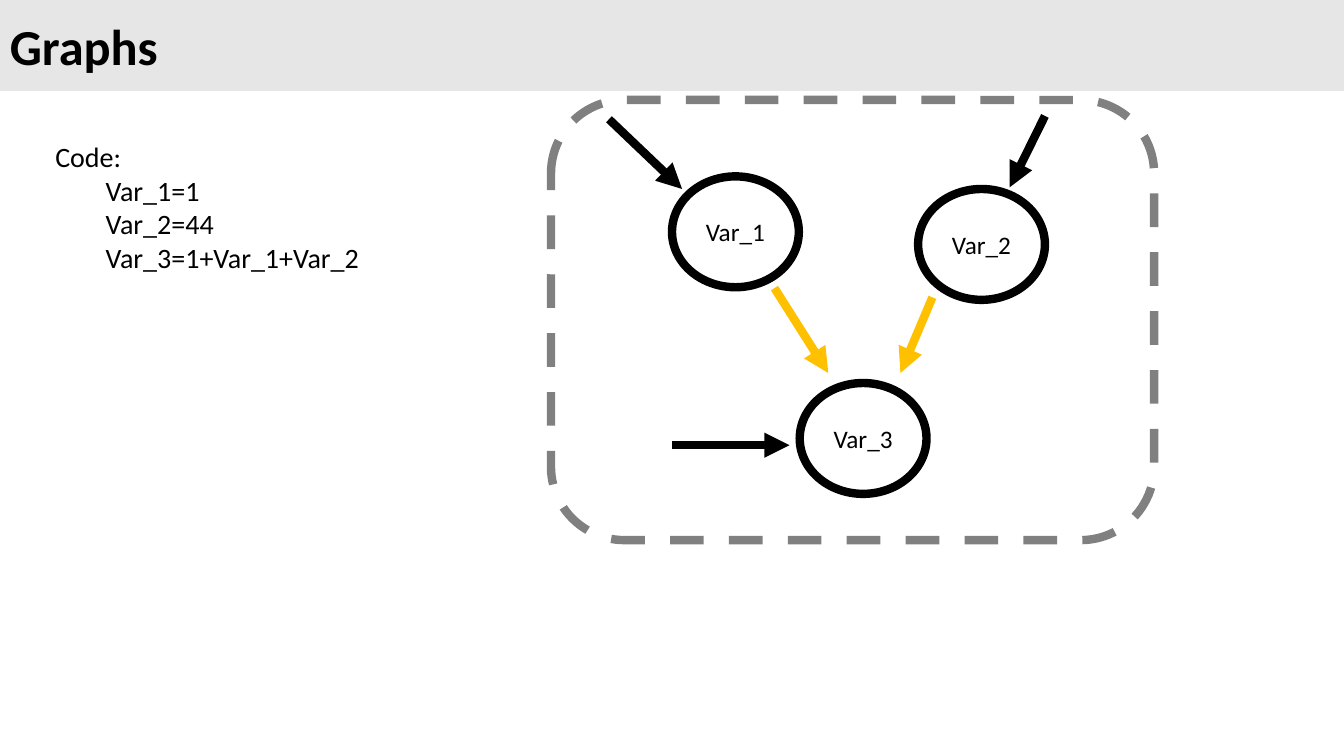
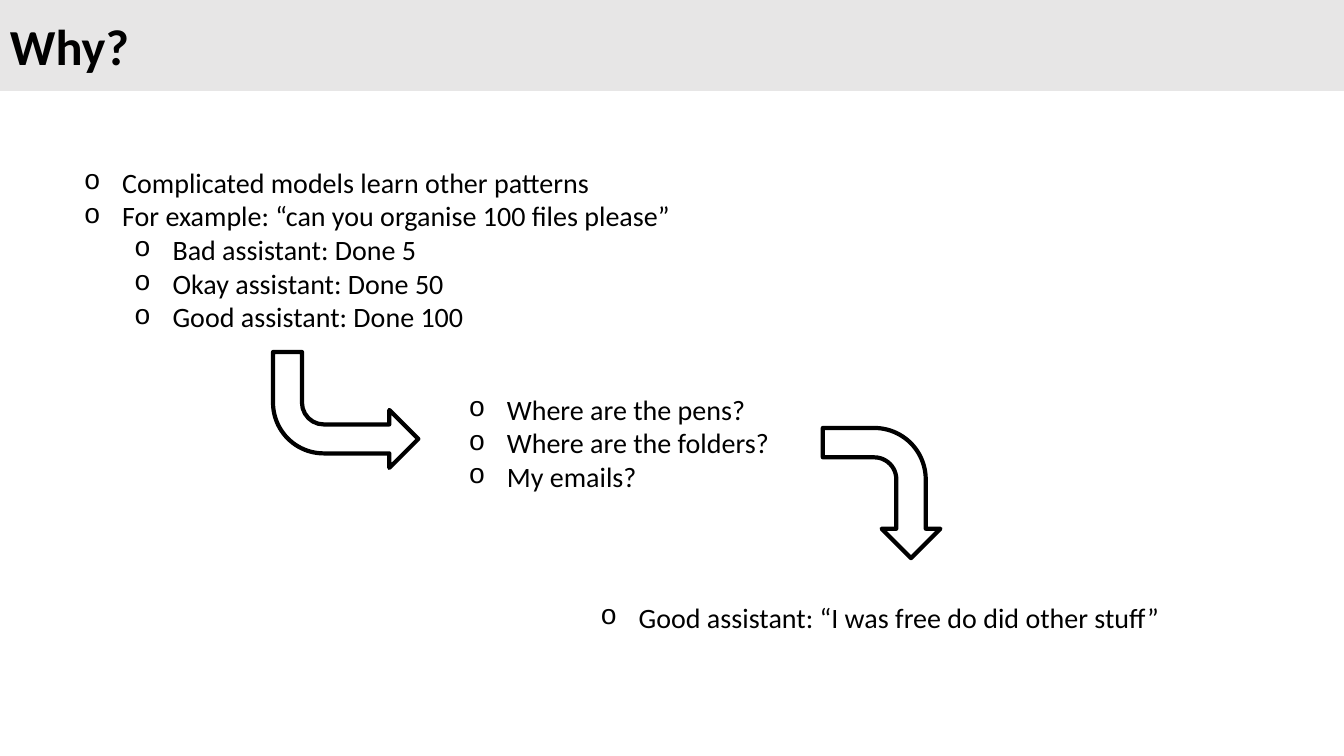
"""Builds two slides: a variable graph and a list of assistant examples."""
from lxml.etree import SubElement
from pptx import Presentation
from pptx.dml.color import RGBColor
from pptx.enum.dml import MSO_LINE
from pptx.enum.shapes import MSO_CONNECTOR, MSO_SHAPE as Preset
from pptx.enum.text import MSO_ANCHOR as Anchor, MSO_AUTO_SIZE, PP_ALIGN as Align
from pptx.oxml.ns import qn
from pptx.util import Inches, Pt

BLACK = RGBColor(0x00, 0x00, 0x00)
WHITE = RGBColor(0xFF, 0xFF, 0xFF)
BAND = RGBColor(0xE7, 0xE6, 0xE6)
GREY = RGBColor(0x80, 0x80, 0x80)
AMBER = RGBColor(0xFF, 0xC0, 0x00)


class Deck:
    FONT = "Calibri"
    BULLET_FONT = "Courier New"
    COLUMNS, ROWS = 160, 90
    BAND_ROWS = 10.7
    LEVEL_INDENT, BULLET_INDENT = Inches(0.5), Inches(0.38)
    TITLE_SIZE, BODY_SIZE, NODE_SIZE = 36, 20, 18
    HEAVY, MEDIUM, THIN = 6, 3, 1
    NODE_COLUMNS, NODE_ROWS = 15.1, 13.2

    def __init__(self):
        self.presentation = Presentation()
        self.presentation.slide_width = Inches(13.33)
        self.presentation.slide_height = Inches(7.5)
        self.slide = None

    def place(self, column, row):
        return (round(self.presentation.slide_width * column / self.COLUMNS),
                round(self.presentation.slide_height * row / self.ROWS))

    def add_slide(self, title):
        self.slide = self.presentation.slides.add_slide(self.presentation.slide_layouts[6])
        band = self.add_shape(Preset.RECTANGLE, (0, 0, self.COLUMNS, self.BAND_ROWS),
                              BAND, BAND, self.THIN)
        self.add_run(band.text_frame.paragraphs[0], title, self.TITLE_SIZE, bold=True)

    def add_run(self, paragraph, text, size, bold=False, align=Align.LEFT):
        paragraph.alignment = align
        run = paragraph.add_run()
        run.text = text
        run.font.name = self.FONT
        run.font.size = Pt(size)
        run.font.bold = bold
        run.font.color.rgb = BLACK

    def add_shape(self, preset, box, fill, line, weight):
        shape = self.slide.shapes.add_shape(preset, *self.place(*box[:2]), *self.place(*box[2:]))
        shape.shadow.inherit = False
        if fill is None:
            shape.fill.background()
        else:
            shape.fill.solid()
            shape.fill.fore_color.rgb = fill
        shape.line.color.rgb = line
        shape.line.width = Pt(weight)
        shape.text_frame.vertical_anchor = Anchor.MIDDLE
        return shape

    def add_frame(self, box):
        frame = self.add_shape(Preset.ROUNDED_RECTANGLE, box, None, GREY, self.HEAVY)
        frame.line.dash_style = MSO_LINE.DASH

    def add_node(self, name, column, row):
        node = self.add_shape(Preset.OVAL, (column, row, self.NODE_COLUMNS, self.NODE_ROWS),
                              WHITE, BLACK, self.HEAVY)
        self.add_run(node.text_frame.paragraphs[0], name, self.NODE_SIZE, align=Align.CENTER)

    def add_arrow(self, start, end, color):
        arrow = self.slide.shapes.add_connector(
            MSO_CONNECTOR.STRAIGHT, *self.place(*start), *self.place(*end))
        arrow.line.color.rgb = color
        arrow.line.width = Pt(self.HEAVY)
        properties = arrow._element.spPr
        SubElement(properties.find(qn("a:ln")), qn("a:tailEnd"), type="triangle")
        SubElement(properties, qn("a:effectLst"))

    def add_bent_arrow(self, box, rotation, mirrored=False):
        arrow = self.add_shape(Preset.BENT_ARROW, box, WHITE, BLACK, self.MEDIUM)
        arrow.rotation = rotation
        if mirrored:
            arrow._element.spPr.find(qn("a:xfrm")).set("flipH", "1")

    def add_text(self, box, lines, bulleted=False):
        text_box = self.slide.shapes.add_textbox(*self.place(*box[:2]), *self.place(*box[2:]))
        frame = text_box.text_frame
        frame.word_wrap = not bulleted
        frame.auto_size = MSO_AUTO_SIZE.SHAPE_TO_FIT_TEXT
        for index, (level, text) in enumerate(lines):
            paragraph = frame.add_paragraph() if index else frame.paragraphs[0]
            paragraph.level = level
            self.add_run(paragraph, text, self.BODY_SIZE)
            self.indent(paragraph, level, bulleted)

    def indent(self, paragraph, level, bulleted):
        hanging = self.BULLET_INDENT if bulleted else 0
        properties = paragraph._p.get_or_add_pPr()
        properties.set("marL", str(level * self.LEVEL_INDENT + hanging))
        properties.set("indent", str(-hanging))
        if bulleted:
            SubElement(properties, qn("a:buFont"), typeface=self.BULLET_FONT)
            SubElement(properties, qn("a:buChar"), char="o")


def build_graphs(deck):
    deck.add_slide("Graphs")
    deck.add_text((5.4, 16, 41.2, 17.4), [
        (0, "Code:"), (1, "Var_1=1"), (1, "Var_2=44"), (1, "Var_3=1+Var_1+Var_2")])
    nodes = [(80, 21), (109.3, 22.5), (95.2, 45.6)]
    for number, (column, row) in enumerate(nodes, 1):
        deck.add_node(f"Var_{number}", column, row)
    for start, end, color in [
            ((72.5, 14.2), (81.2, 22.5), BLACK),
            ((124.4, 13.8), (120.2, 22.3), BLACK),
            ((111, 35.4), (107.2, 44.4), AMBER),
            ((92.2, 34.3), (98.6, 44.4), AMBER),
            ((80, 53), (94, 53), BLACK)]:
        deck.add_arrow(start, end, color)
    deck.add_frame((65.6, 11.9, 71.8, 52.4))


def build_why(deck):
    deck.add_slide("Why?")
    deck.add_text((8.8, 19.1, 72.8, 21.4), [
        (0, "Complicated models learn other patterns"),
        (0, "For example: “can you organise 100 files please”"),
        (1, "Bad assistant: Done 5"),
        (1, "Okay assistant: Done 50"),
        (1, "Good assistant: Done 100")], bulleted=True)
    deck.add_bent_arrow((32.5, 41.9, 17.3, 13.8), 180, mirrored=True)
    deck.add_text((54.6, 46.1, 38.5, 13.3), [
        (0, "Where are the pens?"),
        (0, "Where are the folders?"),
        (0, "My emails?")], bulleted=True)
    deck.add_text((70.3, 70.9, 69.4, 5.3), [
        (0, "Good assistant: “I was free do did other stuff”")], bulleted=True)
    deck.add_bent_arrow((97.2, 51.7, 15.5, 14), 90)


def main():
    deck = Deck()
    build_graphs(deck)
    build_why(deck)
    deck.presentation.save("out.pptx")


if __name__ == "__main__":
    main()
